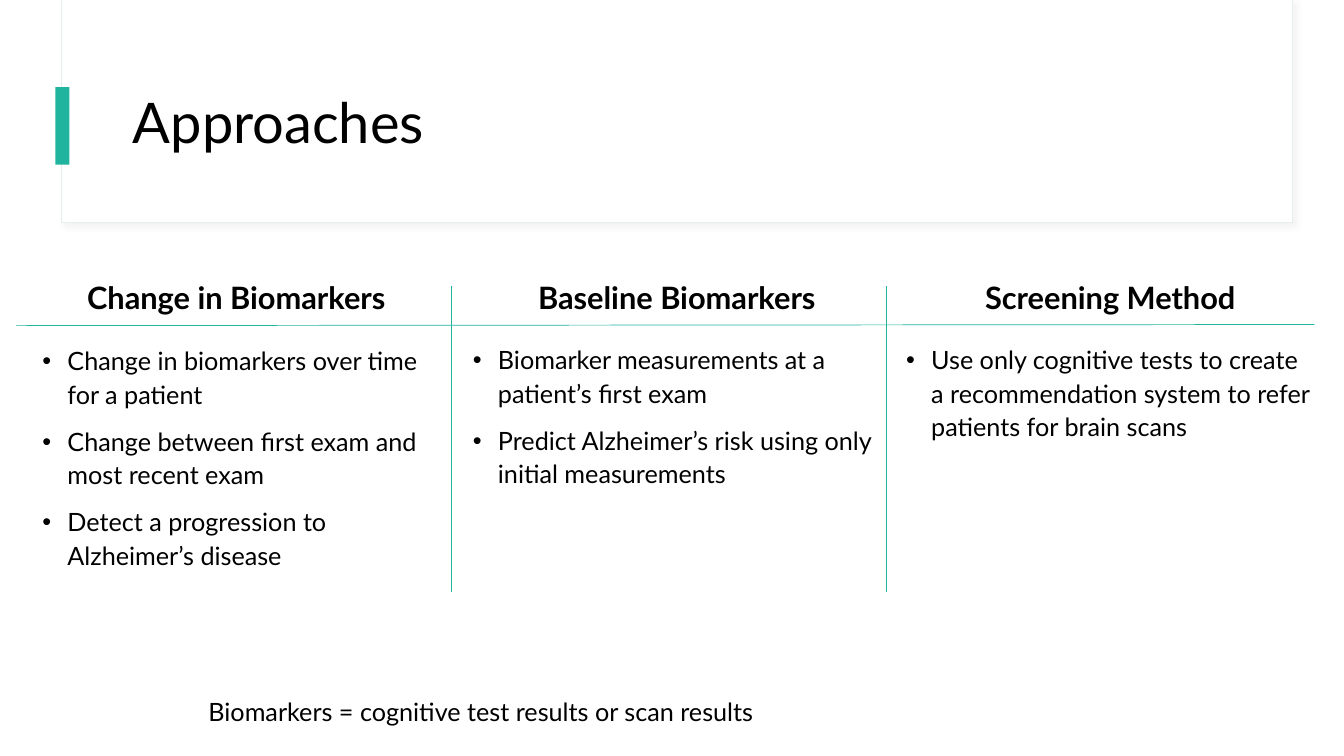
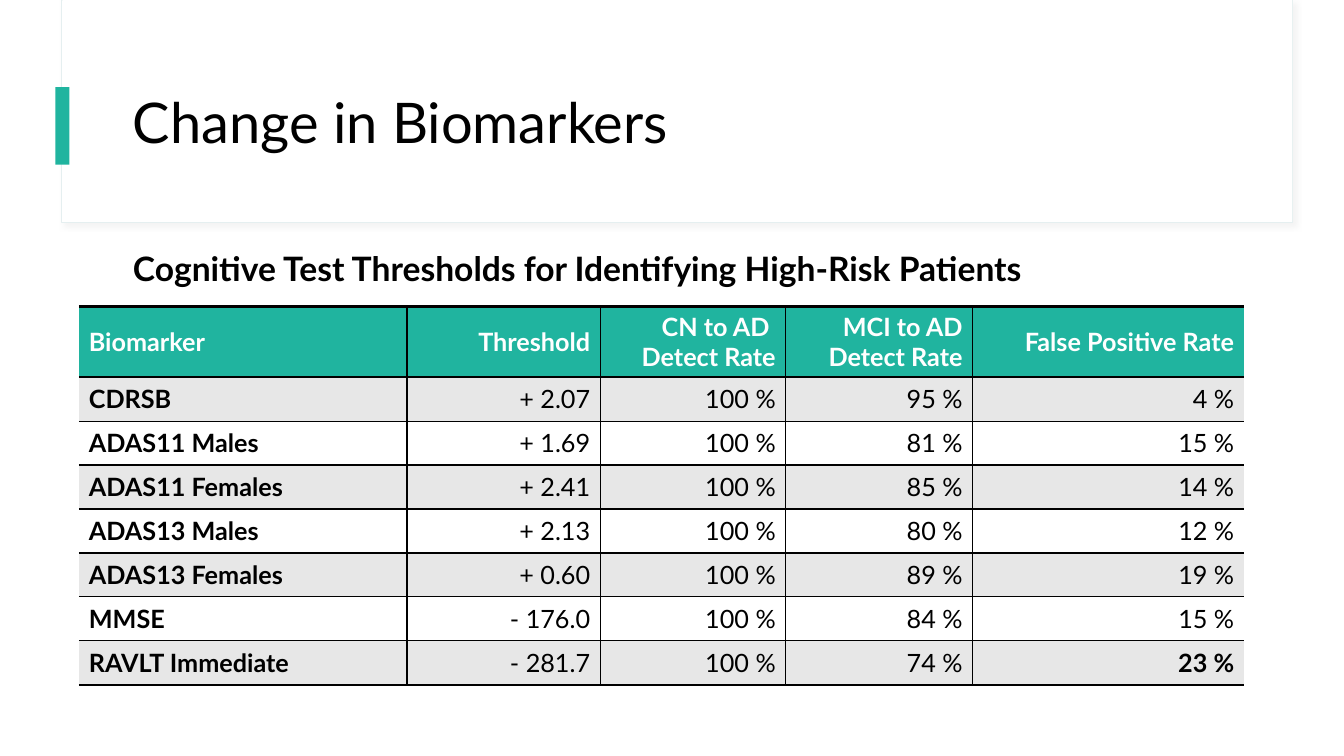
from dataclasses import dataclass

from lxml.etree import SubElement
from pptx import Presentation
from pptx.dml.color import RGBColor
from pptx.enum.shapes import MSO_CONNECTOR as Connector, MSO_SHAPE as Shape
from pptx.enum.text import MSO_ANCHOR as Anchor, MSO_AUTO_SIZE as AutoSize, PP_ALIGN as Align
from pptx.oxml.ns import qn
from pptx.util import Pt


@dataclass(frozen=True)
class Theme:
    """Colours, font and type sizes of the deck."""
    font: str = "Lato"
    text: str = "000000"
    paper: str = "FFFFFF"
    accent: str = "20B49F"
    frame: str = "E5EFF0"
    shadow: str = "D9D9D9"
    band: str = "E7E7E7"
    title: int = 40
    subtitle: int = 24
    heading: int = 22
    body: int = 18


THEME = Theme()

# All lengths are points; a box is (left, top, width, height).
SLIDE_SIZE = (960, 540)
TITLE_BOX = (87.8, 43.2, 800.6, 92.9)
SUBTITLE_BOX = (87.8, 162.7, 800.6, 46.8)
NOTE_BOX = (141.8, 493.9, 421.2, 51.1)
TABLE_CORNER = (56.3, 219)

APPROACHES_TITLE = "Approaches"
APPROACHES = [
    ("Change in Biomarkers", [
        "Change in biomarkers over time for a patient",
        "Change between first exam and most recent exam",
        "Detect a progression to Alzheimer’s disease",
    ]),
    ("Baseline Biomarkers", [
        "Biomarker measurements at a patient’s first exam",
        "Predict Alzheimer’s risk using only initial measurements",
    ]),
    ("Screening Method", [
        "Use only cognitive tests to create a recommendation system to refer "
        "patients for brain scans",
    ]),
]
HEADING_LEFTS = (11.5, 326.2, 635.8)
HEADING_TOP, HEADING_WIDTH, HEADING_HEIGHT = 164.2, 314.6, 64.8
LIST_BOXES = [
    (23, 241.2, 292.3, 234),
    (330.5, 240.5, 306.7, 234),
    (640.1, 240.5, 306.7, 234),
]
DIVIDERS = [
    (11.5, 232.6, 938.9, 231.8),
    (322.6, 204.5, 322.6, 422.6),
    (632.9, 204.5, 632.9, 422.6),
]
NOTE = "Biomarkers = cognitive test results or scan results"

THRESHOLDS_TITLE = "Change in Biomarkers"
THRESHOLDS_SUBTITLE = "Cognitive Test Thresholds for Identifying High-Risk Patients"
THRESHOLDS = [
    ("Biomarker", "Threshold", "CN to AD \nDetect Rate", "MCI to AD\nDetect Rate",
     "False Positive Rate"),
    ("CDRSB", "+ 2.07", "100 %", "95 %", "4 %"),
    ("ADAS11 Males", "+ 1.69", "100 %", "81 %", "15 %"),
    ("ADAS11 Females", "+ 2.41", "100 %", "85 %", "14 %"),
    ("ADAS13 Males", "+ 2.13", "100 %", "80 %", "12 %"),
    ("ADAS13 Females", "+ 0.60", "100 %", "89 %", "19 %"),
    ("MMSE", "- 176.0", "100 %", "84 %", "15 %"),
    ("RAVLT Immediate", "- 281.7", "100 %", "74 %", "23 %"),
]
COLUMN_WIDTHS = (234.5, 138, 132.5, 133.5, 194)
HEADER_HEIGHT, ROW_HEIGHT = 50.4, 31.4
HIGHLIGHT = "23 %"
THIN, THICK = 1, 2


def color(value):
    """Turn a hex string into an RGBColor."""
    return RGBColor.from_string(value)


def points(values):
    """Turn numbers into point lengths."""
    return [Pt(value) for value in values]


def place(shape, box):
    """Move and size a shape to a box."""
    shape.left, shape.top, shape.width, shape.height = points(box)


def style(paragraph, size, ink=THEME.text, bold=False, align=Align.LEFT):
    """Set the font and alignment of a paragraph."""
    paragraph.alignment = align
    font = paragraph.font
    font.name, font.size, font.bold = THEME.font, Pt(size), bold
    font.color.rgb = color(ink)


def set_bullet(paragraph, bulleted):
    """Give a paragraph a hanging bullet, or none at all."""
    properties = paragraph._p.get_or_add_pPr()
    indent = Pt(18) if bulleted else 0
    properties.set("marL", str(indent))
    properties.set("indent", str(-indent))
    if bulleted:
        SubElement(properties, qn("a:buFont"), typeface="Arial")
        SubElement(properties, qn("a:buChar"), char="•")
    else:
        SubElement(properties, qn("a:buNone"))


def write(shape, box, lines, size, anchor=Anchor.TOP, spacing=1.1, before=10,
          bulleted=False, wrap=True, **look):
    """Fill a placeholder or text box with styled paragraphs."""
    place(shape, box)
    frame = shape.text_frame
    frame.text = "\n".join(lines)
    frame.word_wrap, frame.auto_size = wrap, AutoSize.NONE
    frame.vertical_anchor = anchor
    for paragraph in frame.paragraphs:
        set_bullet(paragraph, bulleted)
        paragraph.line_spacing = spacing
        paragraph.space_before, paragraph.space_after = Pt(before), Pt(0)
        style(paragraph, size, **look)


def write_title(slide, text):
    """Fill the slide title."""
    write(slide.shapes.title, TITLE_BOX, [text], THEME.title, Anchor.MIDDLE,
          spacing=0.9, before=0)


def add_panel(slide, box, fill, line=None):
    """Add a filled rectangle without a shadow."""
    panel = slide.shapes.add_shape(Shape.RECTANGLE, *points(box))
    panel.shadow.inherit = False
    panel.fill.solid()
    panel.fill.fore_color.rgb = color(fill)
    if line:
        panel.line.color.rgb = color(line)
        panel.line.width = Pt(0.75)
    else:
        panel.line.fill.background()
    return panel


def add_soft_shadow(shape):
    """Add a faint shadow to the lower right."""
    effects = shape._element.spPr.find(qn("a:effectLst"))
    shadow = SubElement(effects, qn("a:outerShdw"), blurRad=str(Pt(4)), dist=str(Pt(3)),
                        dir=str(45 * 60000), algn="tl", rotWithShape="0")
    tint = SubElement(shadow, qn("a:srgbClr"), val=THEME.shadow)
    SubElement(tint, qn("a:alpha"), val="30000")


def decorate_master(presentation, slide):
    """Draw the title band and move it to the master, behind its placeholders."""
    frame = add_panel(slide, (44, 0, 879, 159), THEME.paper, THEME.frame)
    add_soft_shadow(frame)
    cover = add_panel(slide, (44.6, 0, 878.4, 158.4), THEME.paper)
    marker = add_panel(slide, (39.6, 62.2, 10, 55.4), THEME.accent)
    front = presentation.slide_master.shapes[0]._element
    for panel in (frame, cover, marker):
        front.addprevious(panel._element)


def add_divider(slide, ends):
    """Add a thin accent line."""
    divider = slide.shapes.add_connector(Connector.STRAIGHT, *points(ends))
    divider.line.color.rgb = color(THEME.accent)
    divider.line.width = Pt(0.5)
    SubElement(divider._element.spPr, qn("a:effectLst"))


def set_borders(cell, widths):
    """Set left, right, top and bottom borders; a width of 0 hides one."""
    properties = cell._tc.get_or_add_tcPr()
    for side, width in zip("LRTB", widths):
        border = SubElement(properties, qn(f"a:ln{side}"), w=str(Pt(width)))
        if width:
            SubElement(SubElement(border, qn("a:solidFill")), qn("a:srgbClr"), val=THEME.text)
        else:
            SubElement(border, qn("a:noFill"))


def fill_cell(cell, text, row, column):
    """Write and style one table cell by its place in the grid."""
    header, first = row == 0, column == 0
    last_row, last_column = len(THRESHOLDS) - 1, len(COLUMN_WIDTHS) - 1
    set_borders(cell, (
        0 if first else THIN,
        0 if column == last_column else THIN,
        THICK if row <= 1 else THIN,
        THICK if row in (0, last_row) else THIN,
    ))
    cell.fill.solid()
    banding = THEME.band if row % 2 else THEME.paper
    cell.fill.fore_color.rgb = color(THEME.accent if header else banding)
    cell.vertical_anchor = Anchor.MIDDLE
    cell.text = text
    for paragraph in cell.text_frame.paragraphs:
        style(paragraph, THEME.body, THEME.paper if header else THEME.text,
              header or first or text == HIGHLIGHT, Align.LEFT if first else Align.RIGHT)


def add_threshold_table(slide):
    """Add the table of test thresholds."""
    height = HEADER_HEIGHT + ROW_HEIGHT * (len(THRESHOLDS) - 1)
    table = slide.shapes.add_table(
        len(THRESHOLDS), len(COLUMN_WIDTHS),
        *points((*TABLE_CORNER, sum(COLUMN_WIDTHS), height))).table
    for column, width in zip(table.columns, COLUMN_WIDTHS):
        column.width = Pt(width)
    for row, texts in enumerate(THRESHOLDS):
        table.rows[row].height = Pt(ROW_HEIGHT if row else HEADER_HEIGHT)
        for column, text in enumerate(texts):
            fill_cell(table.cell(row, column), text, row, column)


def build_approaches(slide):
    """Build the three-column slide; the third column uses text boxes."""
    write_title(slide, APPROACHES_TITLE)
    bodies = list(slide.placeholders)[1:]
    bodies += [slide.shapes.add_textbox(0, 0, 0, 0) for _ in range(2)]
    for index, (heading, items) in enumerate(APPROACHES):
        heading_box = (HEADING_LEFTS[index], HEADING_TOP, HEADING_WIDTH, HEADING_HEIGHT)
        write(bodies[2 * index], heading_box, [heading], THEME.heading, Anchor.BOTTOM,
              bold=True, align=Align.CENTER)
        write(bodies[2 * index + 1], LIST_BOXES[index], items, THEME.body, bulleted=True)
    note = slide.shapes.add_textbox(0, 0, 0, 0)
    write(note, NOTE_BOX, [NOTE], THEME.body, spacing=1, before=0, wrap=False)
    for ends in DIVIDERS:
        add_divider(slide, ends)


def build_thresholds(slide):
    """Build the slide with the threshold table."""
    write_title(slide, THRESHOLDS_TITLE)
    write(slide.placeholders[1], SUBTITLE_BOX, [THRESHOLDS_SUBTITLE], THEME.subtitle,
          Anchor.BOTTOM, bold=True)
    add_threshold_table(slide)


def main():
    """Build and save the deck."""
    presentation = Presentation()
    presentation.slide_width, presentation.slide_height = points(SLIDE_SIZE)
    content, comparison = (presentation.slide_layouts.get_by_name(name)
                           for name in ("Title and Content", "Comparison"))
    approaches = presentation.slides.add_slide(comparison)
    decorate_master(presentation, approaches)
    build_approaches(approaches)
    build_thresholds(presentation.slides.add_slide(content))
    presentation.save("out.pptx")


main()
